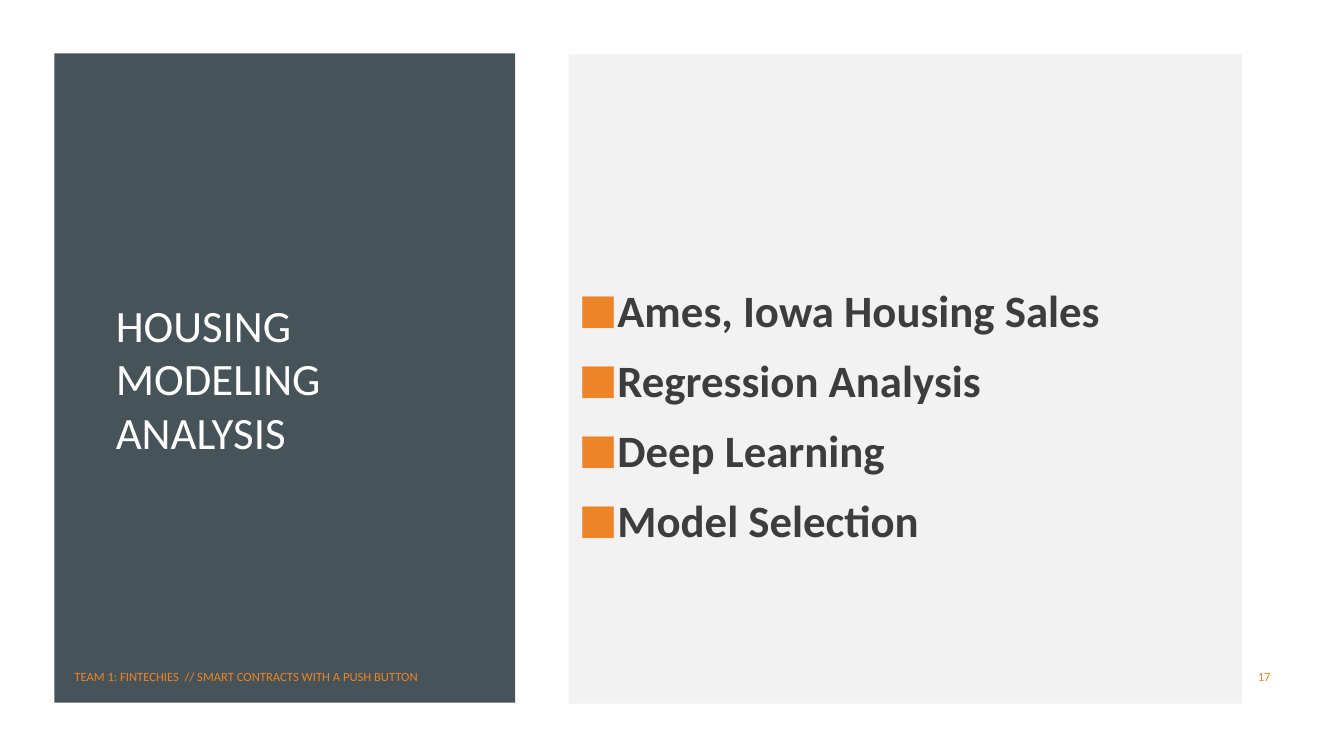
from pptx import Presentation
from pptx.dml.color import RGBColor
from pptx.enum import shapes, text
from pptx.oxml import parse_xml
from pptx.oxml.ns import nsdecls
from pptx.util import Inches, Pt

# Content
TITLE = "HOUSING MODELING\vANALYSIS"
TOPICS = ["Ames, Iowa Housing Sales", "Regression Analysis",
          "Deep Learning", "Model Selection"]
FOOTER = "TEAM 1: FINTECHIES  // SMART CONTRACTS WITH A PUSH BUTTON"
PAGE = "17"

# Style
FONT = "Calibri"
WHITE = RGBColor(0xFF, 0xFF, 0xFF)
SLATE = RGBColor(0x46, 0x53, 0x59)
PALE = RGBColor(0xF2, 0xF2, 0xF2)
ORANGE = RGBColor(0xED, 0x84, 0x28)
INK = RGBColor(0x3D, 0x3D, 0x3D)
LEFT, RIGHT = text.PP_ALIGN.LEFT, text.PP_ALIGN.RIGHT

prs = Presentation()
prs.slide_width, prs.slide_height = Inches(13.33), Inches(7.5)
s = prs.slides.add_slide(prs.slide_layouts[6])


def add_panel(box, color):
    sp = s.shapes.add_shape(shapes.MSO_SHAPE.RECTANGLE, *map(Inches, box))
    sp.shadow.inherit = False
    sp.fill.solid()
    sp.fill.fore_color.rgb = color
    sp.line.fill.background()
    return sp


def write(sp, lines, size, color, align=LEFT, bold=False):
    tf = sp.text_frame
    tf.word_wrap = True
    tf.vertical_anchor = text.MSO_ANCHOR.MIDDLE
    tf.text = "\n".join(lines)
    for p in tf.paragraphs:
        p.alignment = align
        for r in p.runs:
            r.font.name, r.font.size, r.font.bold = FONT, Pt(size), bold
            r.font.color.rgb = color
    return tf


def add_label(box, words, size, color, align=LEFT):
    write(s.shapes.add_textbox(*map(Inches, box)), [words], size, color, align)


def add_bullet(p):
    pPr = p._p.get_or_add_pPr()
    pPr.set("marL", str(Inches(0.33)))
    pPr.set("indent", str(-Inches(0.33)))
    for tag in (f'<a:buClr {nsdecls("a")}><a:srgbClr val="{ORANGE}"/></a:buClr>',
                f'<a:buSzPct {nsdecls("a")} val="92000"/>',
                f'<a:buFont {nsdecls("a")} typeface="{FONT}"/>',
                f'<a:buChar {nsdecls("a")} char="■"/>'):
        pPr.append(parse_xml(tag))


# Title panel
add_panel((0.54, 0.53, 4.57, 6.44), SLATE)
add_label((1.05, 1.22, 3.58, 5.06), TITLE, 32, WHITE)

# Topic panel, its list set below the middle
tf = write(add_panel((5.64, 0.54, 6.68, 6.44), PALE), TOPICS, 32, INK, bold=True)
tf.margin_top = Inches(0.75)
for p in tf.paragraphs:
    p.space_before, p.space_after = Pt(5.6), Pt(6)
    add_bullet(p)

# Page number and footer
add_label((11.55, 6.51, 1.15, 0.4), PAGE, 9, ORANGE, RIGHT)
add_label((0.64, 6.51, 7.56, 0.4), FOOTER, 9, ORANGE)

prs.save("out.pptx")
